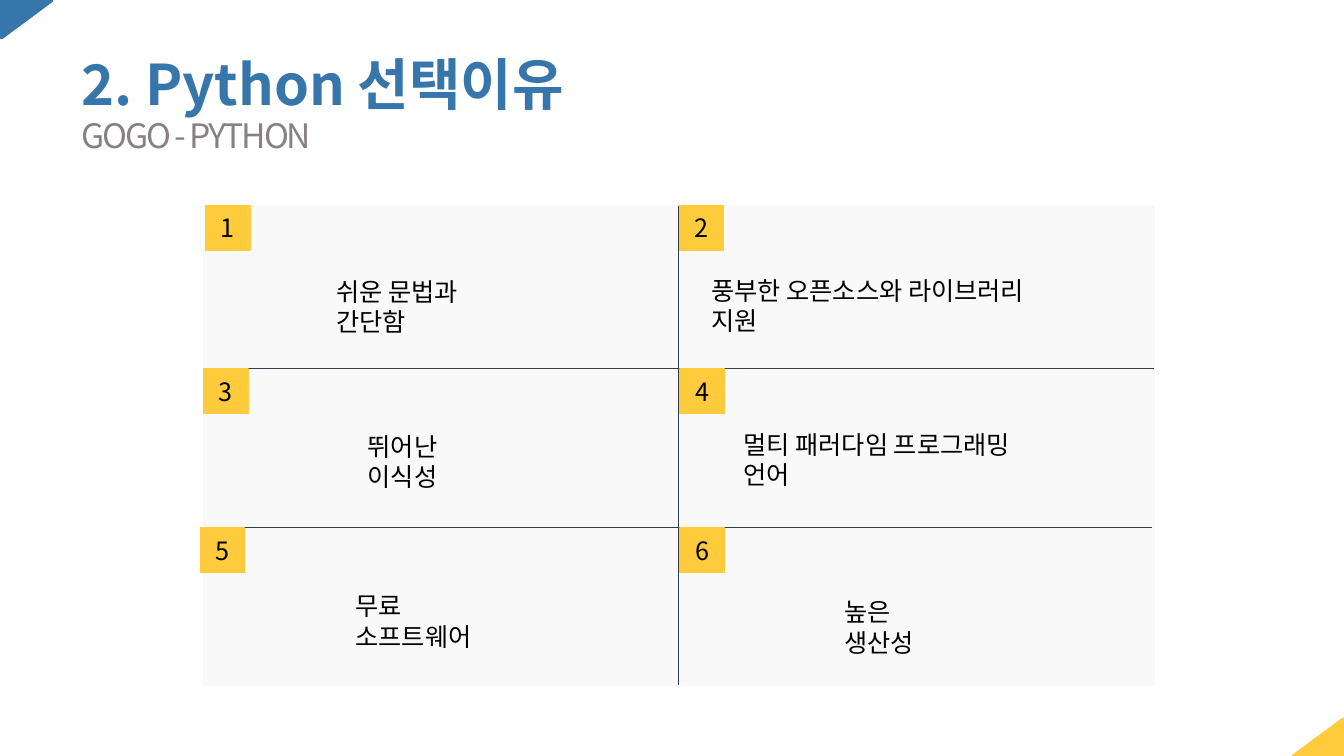
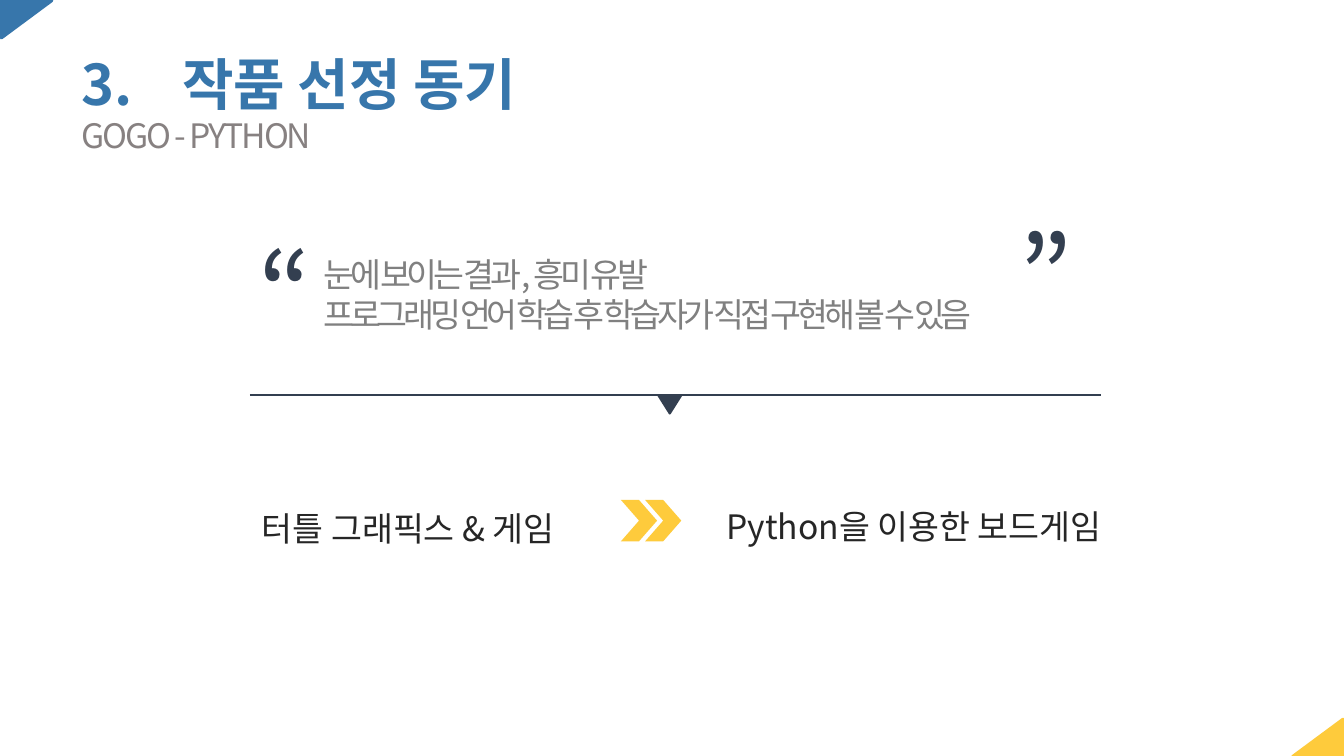
from typing import NamedTuple

from lxml.etree import SubElement
from pptx import Presentation
from pptx.dml.color import RGBColor
from pptx.enum.shapes import MSO_CONNECTOR, MSO_SHAPE
from pptx.enum.text import MSO_ANCHOR as Anchor, MSO_AUTO_SIZE as AutoSize, PP_ALIGN as Align
from pptx.oxml.ns import qn
from pptx.util import Cm, Pt

FONT = "Noto Sans CJK KR"
COLORS = {
    "blue": "3776AB",
    "yellow": "FECB3C",
    "navy": "333F50",
    "panel": "F9F9F9",
    "subtitle": "878181",
    "quote": "808080",
    "ink": "262626",
    "black": "000000",
}
LINE_HEIGHT = 1.2  # line pitch in ems


class Box(NamedTuple):
    """Left, top, width and height in centimetres."""
    left: float
    top: float
    width: float
    height: float

    def lengths(self) -> tuple:
        return tuple(Cm(value) for value in self)


class Style(NamedTuple):
    size: float
    color: str
    bold: bool = False
    tracking: float = 0  # points between letters
    leading: float = 1  # multiple of the line height


class Reason(NamedTuple):
    text: str
    badge: tuple[float, float]
    label: tuple[float, float]
    width: float


TITLE = Style(40, "blue", bold=True)
SUBTITLE = Style(24, "subtitle", tracking=-1.5)
REASON = Style(18, "black")
QUOTE = Style(24, "quote", tracking=-3)
QUOTE_MARK = Style(80, "navy")
PHRASE = Style(24, "ink", leading=1.5)

REASONS = [
    Reason("쉬운 문법과 간단함", (5.18, 5.18), (8.23, 6.83), 5.2),
    Reason("풍부한 오픈소스와 라이브러리 지원", (17.12, 5.18), (17.68, 6.81), 9.35),
    Reason("뛰어난 이식성", (5.13, 9.3), (9.02, 10.74), 3.9),
    Reason("멀티 패러다임 프로그래밍 언어", (17.14, 9.3), (18.49, 10.69), 8.2),
    Reason("무료 소프트웨어", (5.05, 13.31), (8.71, 14.76), 4.4),
    Reason("높은 생산성", (17.14, 13.31), (21.03, 14.91), 3.3),
]


def rgb(name: str) -> RGBColor:
    return RGBColor.from_string(COLORS[name])


# Text

def write(frame, text: str, style: Style, align=Align.LEFT) -> None:
    frame.text = text
    frame.word_wrap = True
    frame.auto_size = AutoSize.NONE
    for paragraph in frame.paragraphs:
        paragraph.alignment = align
        paragraph.space_before = Pt(0)
        paragraph.line_spacing = Pt(style.size * LINE_HEIGHT * style.leading)
        for run in paragraph.runs:
            font = run.font
            font.size = Pt(style.size)
            font.bold = style.bold
            font.name = FONT
            font.color.rgb = rgb(style.color)
            properties = run._r.get_or_add_rPr()
            SubElement(properties, qn("a:ea")).set("typeface", FONT)
            if style.tracking:
                properties.set("spc", str(int(style.tracking * 100)))


def add_text(slide, box: Box, text: str, style: Style, rotation: float = 0) -> None:
    label = slide.shapes.add_textbox(*box.lengths())
    label.rotation = rotation
    write(label.text_frame, text, style)


def fill_heading(placeholder, box: Box, text: str, style: Style) -> None:
    placeholder.left, placeholder.top, placeholder.width, placeholder.height = box.lengths()
    frame = placeholder.text_frame
    frame.vertical_anchor = Anchor.TOP
    frame.margin_top = frame.margin_bottom = 0
    write(frame, text, style)
    properties = frame.paragraphs[0]._p.get_or_add_pPr()
    properties.set("marL", "0")
    properties.set("indent", "0")
    SubElement(properties, qn("a:buNone"))
    tabs = SubElement(properties, qn("a:tabLst"))
    SubElement(tabs, qn("a:tab"), pos=str(Cm(2.25)), algn="l")


# Shapes

def add_figure(slide, kind, box: Box, color: str, line: float = 0, rotation: float = 0):
    figure = slide.shapes.add_shape(kind, *box.lengths())
    figure.shadow.inherit = False
    figure.rotation = rotation
    figure.fill.solid()
    figure.fill.fore_color.rgb = rgb(color)
    if line:
        figure.line.color.rgb = rgb(color)
        figure.line.width = Pt(line)
    else:
        figure.line.fill.background()
    return figure


def add_rule(slide, x1: float, y1: float, x2: float, y2: float, width: float) -> None:
    rule = slide.shapes.add_connector(
        MSO_CONNECTOR.STRAIGHT, Cm(x1), Cm(y1), Cm(x2), Cm(y2))
    rule.line.color.rgb = rgb("navy")
    rule.line.width = Pt(width)
    SubElement(rule._element.spPr, qn("a:effectLst"))


# Slides

def add_page(deck, title: str):
    """Add a slide with the shared corners, title and subtitle."""
    slide = deck.slides.add_slide(deck.slide_layouts[1])
    fill_heading(slide.shapes.title, Box(1.8, 1.24, 17.63, 1.7), title, TITLE)
    fill_heading(slide.placeholders[1], Box(1.8, 2.9, 8.61, 1.02), "GOGO - PYTHON", SUBTITLE)
    for left, top, color, turn in ((0.2, -0.15, "blue", 90), (32.74, 17.96, "yellow", 270)):
        add_figure(slide, MSO_SHAPE.RIGHT_TRIANGLE, Box(left, top, 0.94, 1.27),
                   color, 2.25, turn)
    return slide


def add_reasons(deck) -> None:
    slide = add_page(deck, "2. Python 선택이유")
    add_figure(slide, MSO_SHAPE.RECTANGLE, Box(5.13, 5.18, 23.95, 12.09), "panel", 1)
    for ends in ((5.13, 9.27, 29.08, 9.27), (5.05, 13.28, 29.03, 13.28),
                 (17.09, 5.18, 17.09, 17.27)):
        add_rule(slide, *ends, 0.5)
    for number, reason in enumerate(REASONS, 1):
        badge = add_figure(slide, MSO_SHAPE.RECTANGLE, Box(*reason.badge, 1.12, 1.12),
                           "yellow", 1)
        badge.text_frame.vertical_anchor = Anchor.MIDDLE
        write(badge.text_frame, str(number), REASON, Align.CENTER)
        add_text(slide, Box(*reason.label, reason.width, 1.8), reason.text, REASON)


def add_motive(deck) -> None:
    slide = add_page(deck, "3.\t작품 선정 동기")
    # Quotation between its marks
    add_text(slide, Box(7.9, 6.27, 20.32, 2.31),
             "눈에 보이는 결과, 흥미 유발\n프로그래밍 언어 학습 후 학습자가 직접 구현해 볼 수 있음", QUOTE)
    for left, top, turn in ((24.31, 3.73, 180), (6.27, 5.51, 0)):
        add_text(slide, Box(left, top, 2.97, 3.68), "“", QUOTE_MARK, turn)
    # Divider with pointer
    add_rule(slide, 6.3, 9.96, 27.74, 9.96, 1.5)
    add_figure(slide, MSO_SHAPE.FLOWCHART_MERGE, Box(16.59, 9.96, 0.58, 0.46), "navy", 1.5)
    # Topic leading to the chosen work
    add_text(slide, Box(6.35, 12.17, 9.6, 1.8), "터틀 그래픽스 & 게임", PHRASE)
    for left in (16.26, 15.65):
        add_figure(slide, MSO_SHAPE.CHEVRON, Box(left, 12.6, 0.91, 1.04), "yellow")
    add_text(slide, Box(18.06, 12.12, 11.51, 1.8), "Python을 이용한 보드게임", PHRASE)


def main() -> None:
    deck = Presentation()
    deck.slide_width, deck.slide_height = Cm(33.87), Cm(19.05)
    add_reasons(deck)
    add_motive(deck)
    deck.save("out.pptx")


if __name__ == "__main__":
    main()
